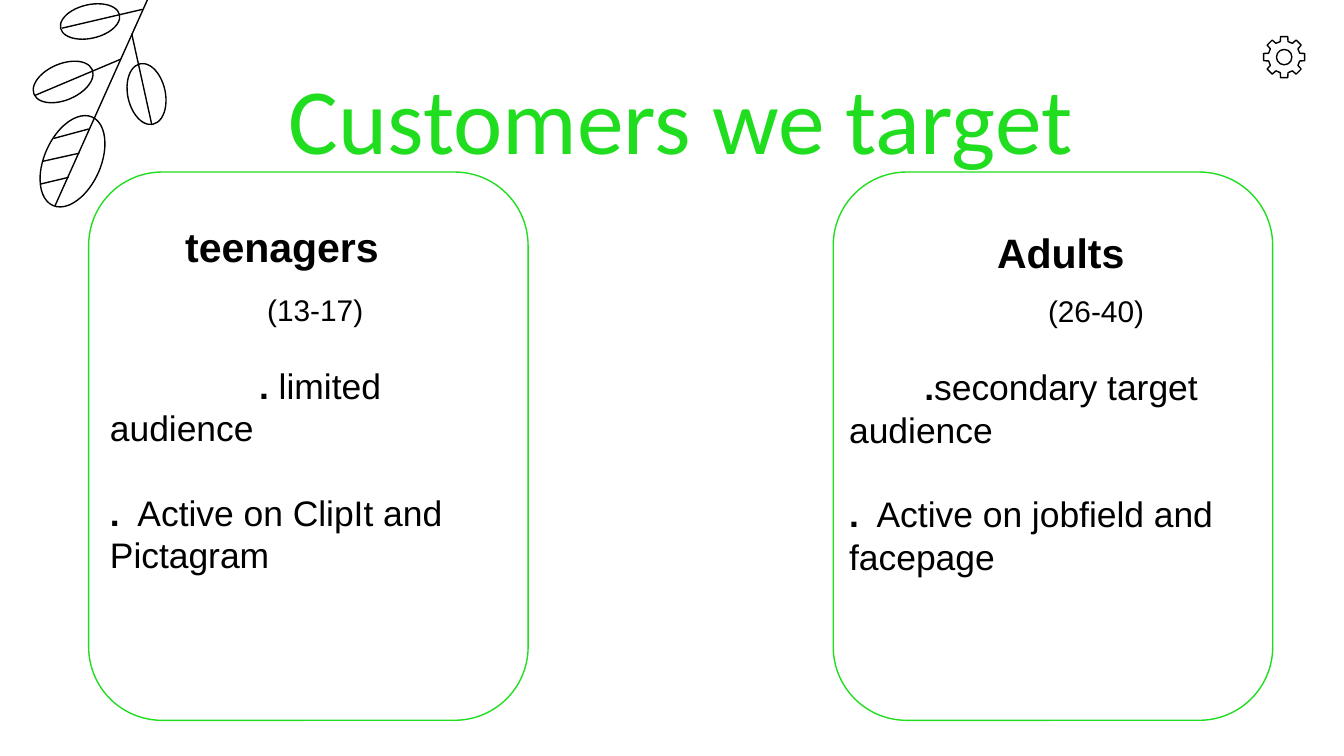
from math import cos, radians, sin

from lxml import etree
from pptx import Presentation
from pptx.dml.color import RGBColor
from pptx.enum.shapes import MSO_CONNECTOR, MSO_SHAPE as SHAPE
from pptx.enum.text import MSO_ANCHOR as ANCHOR
from pptx.oxml.ns import qn
from pptx.util import Inches, Pt

COLORS = {"ink": "000000", "green": "20DD20", "paper": "FFFFFF"}

# Leaves: centre x, centre y, length, breadth, rotation
LEAVES = [
    (1.09, 0.7, 0.46, 0.28, 78),
    (0.67, 0.16, 0.45, 0.25, -13),
    (0.47, 0.61, 0.47, 0.27, -23),
    (0.54, 1.2, 0.72, 0.42, -66),
]
# Stem, leaf veins and the short ribs of the lowest leaf
VEINS = [
    (1.15, -0.12, 0.41, 1.53),
    (1.13, 0.93, 0.98, 0.25),
    (1.06, 0.07, 0.46, 0.21),
    (0.9, 0.44, 0.26, 0.71),
    (0.66, 0.96, 0.4, 1.03),
    (0.59, 1.14, 0.32, 1.2),
    (0.51, 1.32, 0.3, 1.37),
]


def rgb(name):
    return RGBColor.from_string(COLORS[name])


def style(sp, line="ink", fill="paper"):
    sp.shadow.inherit = False
    if fill:
        sp.fill.solid()
        sp.fill.fore_color.rgb = rgb(fill)
    else:
        sp.fill.background()
    sp.line.color.rgb = rgb(line)
    sp.line.width = Pt(0.75)
    return sp


def add_shape(slide, kind, x, y, w, h, **look):
    sp = slide.shapes.add_shape(kind, Inches(x), Inches(y), Inches(w), Inches(h))
    return style(sp, **look)


def add_line(slide, x1, y1, x2, y2):
    line = slide.shapes.add_connector(
        MSO_CONNECTOR.STRAIGHT, Inches(x1), Inches(y1), Inches(x2), Inches(y2))
    line.line.color.rgb = rgb("ink")
    line.line.width = Pt(0.75)
    etree.SubElement(line._element.spPr, qn("a:effectLst"))


def add_text(slide, box, paragraphs, font="Arial", color="ink", inset=0.1,
             anchor=ANCHOR.TOP):
    """Each paragraph is (runs, indent, space before); each run is (text, size, bold)."""
    tf = slide.shapes.add_textbox(*map(Inches, box)).text_frame
    tf.word_wrap = True
    tf.vertical_anchor = anchor
    tf.margin_left = tf.margin_right = Inches(inset)
    tf.margin_top = tf.margin_bottom = Inches(inset)
    for i, (runs, indent, before) in enumerate(paragraphs):
        p = tf.paragraphs[0] if i == 0 else tf.add_paragraph()
        if before:
            p.space_before = Pt(before)
        if indent:
            p._p.get_or_add_pPr().set("indent", str(Inches(indent)))
        for text, size, bold in runs:
            r = p.add_run()
            r.text = text
            r.font.name = font
            r.font.size = Pt(size)
            r.font.bold = bold
            r.font.color.rgb = rgb(color)


def add_branch(slide, x, y):
    for cx, cy, length, breadth, angle in LEAVES:
        leaf = add_shape(slide, SHAPE.OVAL, x + cx - length / 2,
                         y + cy - breadth / 2, length, breadth)
        leaf.rotation = angle
    for x1, y1, x2, y2 in VEINS:
        add_line(slide, x + x1, y + y1, x + x2, y + y2)


def add_gear(slide, x, y, size, teeth=8):
    cx, cy, outer = x + size / 2, y + size / 2, size / 2
    root, hub = outer * 0.77, outer * 0.37
    points = []
    for tooth in range(teeth):
        for radius, offset in ((root, -14), (outer, -10), (outer, 10), (root, 14)):
            a = radians(tooth * 360 / teeth + offset)
            points.append((Inches(cx + radius * sin(a)), Inches(cy - radius * cos(a))))
    outline = slide.shapes.build_freeform(*points[0])
    outline.add_line_segments(points[1:], close=True)
    style(outline.convert_to_shape())
    add_shape(slide, SHAPE.OVAL, cx - hub, cy - hub, 2 * hub, 2 * hub, fill=None)


def add_card(slide, x, y, w, h, heading, heading_box, body_box, ages, notes):
    """Boxes are relative to the card; ages and notes are (text, indent)."""
    card = add_shape(slide, SHAPE.ROUNDED_RECTANGLE, x, y, w, h, line="green")
    card.adjustments[0] = 0.167

    def place(box):
        return x + box[0], y + box[1], box[2], box[3]

    add_text(slide, place(heading_box), [([(heading, 22, True)], 0, 0)])
    age_text, age_indent = ages
    paragraphs = [([(age_text, 16, False)], age_indent, 0)]
    for (text, indent), before in zip(notes, (19.5, 22.5)):
        paragraphs.append(([(".", 19, True), (text, 19, False)], indent, before))
    add_text(slide, place(body_box), paragraphs)


def main():
    prs = Presentation()
    prs.slide_width = Inches(10)
    prs.slide_height = prs.slide_width * 9 // 16
    slide = prs.slides.add_slide(prs.slide_layouts[6])
    add_branch(slide, 0, 0)
    add_gear(slide, 9.4, 0.27, 0.31)
    add_text(slide, (2.15, 0.46, 6.31, 0.82),
             [([("Customers we target", 50, False)], 0, 0)],
             font="Calibri", color="green", inset=0, anchor=ANCHOR.MIDDLE)
    add_card(slide, 6.2, 1.28, 3.27, 4.08, "Adults",
             (1.12, 0.31, 1.39, 0.69), (0.02, 0.8, 3.27, 2.94), ("(26-40)", 1.48),
             [("secondary target audience", 0.56),
              ("  Active on jobfield and facepage", 0)])
    add_card(slide, 0.66, 1.28, 3.27, 4.08, "teenagers",
             (0.62, 0.27, 1.67, 0.76), (0.06, 0.79, 2.83, 3.02), ("(13-17)", 1.17),
             [(" limited audience", 1.11),
              ("  Active on ClipIt and Pictagram", 0)])
    prs.save("out.pptx")


if __name__ == "__main__":
    main()
